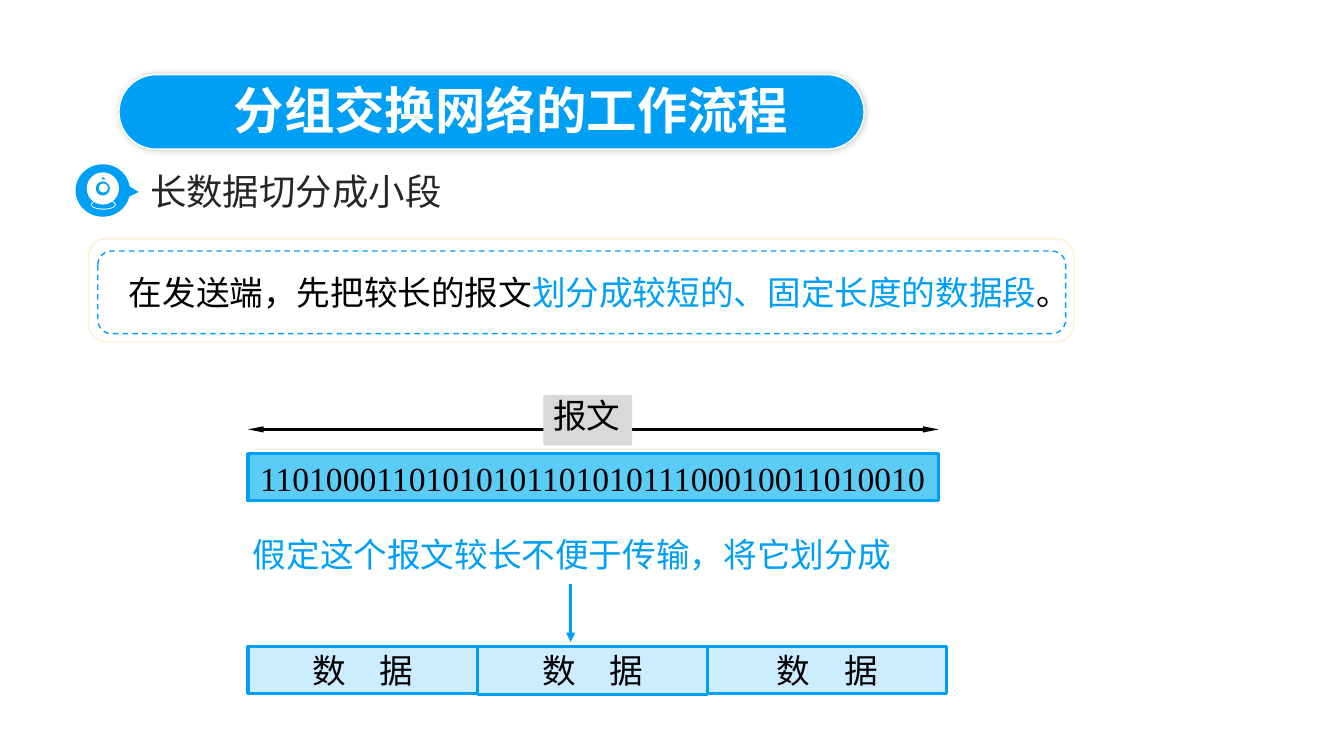
from dataclasses import dataclass

from lxml.etree import SubElement
from pptx import Presentation
from pptx.dml.color import RGBColor
from pptx.enum.dml import MSO_LINE_DASH_STYLE as Dash
from pptx.enum.shapes import MSO_CONNECTOR as Connector, MSO_SHAPE as Preset
from pptx.enum.text import MSO_ANCHOR as Anchor, PP_ALIGN as Align
from pptx.oxml.ns import qn
from pptx.util import Inches, Pt

BLUE = RGBColor(0x00, 0x9F, 0xF6)
SKY = RGBColor(0x5B, 0xCC, 0xF6)
PALE = RGBColor(0xCC, 0xEC, 0xFF)
CREAM = RGBColor(0xFE, 0xF1, 0xD6)
GREY = RGBColor(0xD9, 0xD9, 0xD9)
DARK = RGBColor(0x26, 0x26, 0x26)
BLACK = RGBColor(0x00, 0x00, 0x00)
WHITE = RGBColor(0xFF, 0xFF, 0xFF)

SANS = "Noto Sans CJK SC"
TITLE_FONT = "Noto Sans CJK JP"
SERIF = "Times New Roman"


@dataclass
class Box:
    left: float
    top: float
    width: float
    height: float
    preset: Preset = Preset.RECTANGLE
    fill: RGBColor | None = None
    line: RGBColor | None = None
    weight: float = 1
    dash: Dash | None = None
    adjustments: tuple[float, ...] = ()


@dataclass
class Label:
    """One line of text, made of (text, colour) runs."""
    runs: list[tuple[str, RGBColor]]
    size: float = 24
    font: str = SANS
    bold: bool = False
    align: Align = Align.LEFT
    anchor: Anchor = Anchor.TOP
    spacing: float = 1.0
    left_inset: float = 0.1
    right_inset: float = 0
    top_inset: float = 0


@dataclass
class Arrow:
    start: tuple[float, float]
    end: tuple[float, float]
    colour: RGBColor
    heads: tuple[str, ...]
    head_width: str = "med"
    head_length: str = "med"


def write(shape, label: Label) -> None:
    frame = shape.text_frame
    settings = {
        "word_wrap": True,
        "vertical_anchor": label.anchor,
        "margin_left": Inches(label.left_inset),
        "margin_right": Inches(label.right_inset),
        "margin_top": Inches(label.top_inset),
        "margin_bottom": 0,
    }
    for name, value in settings.items():
        setattr(frame, name, value)
    paragraph = frame.paragraphs[0]
    paragraph.alignment = label.align
    paragraph.line_spacing = label.spacing
    font_settings = {"size": Pt(label.size), "name": label.font, "bold": label.bold}
    for text, colour in label.runs:
        run = paragraph.add_run()
        run.text = text
        for name, value in font_settings.items():
            setattr(run.font, name, value)
        run.font.color.rgb = colour
        SubElement(run.font._element, qn("a:ea"), typeface=label.font)


def add_box(slide, box: Box, label: Label | None = None):
    shape = slide.shapes.add_shape(
        box.preset, Inches(box.left), Inches(box.top), Inches(box.width), Inches(box.height))
    shape.shadow.inherit = False
    for index, value in enumerate(box.adjustments):
        shape.adjustments[index] = value
    for target, colour in ((shape.fill, box.fill), (shape.line.fill, box.line)):
        if colour is None:
            target.background()
        else:
            target.solid()
            target.fore_color.rgb = colour
    if box.line is not None:
        shape.line.width = Pt(box.weight)
        shape.line.dash_style = box.dash
    if label:
        write(shape, label)
    return shape


def add_text(slide, left: float, top: float, width: float, height: float, label: Label) -> None:
    write(slide.shapes.add_textbox(Inches(left), Inches(top), Inches(width), Inches(height)), label)


def add_arrow(slide, arrow: Arrow) -> None:
    points = [Inches(value) for value in (*arrow.start, *arrow.end)]
    connector = slide.shapes.add_connector(Connector.STRAIGHT, *points)
    connector.line.color.rgb = arrow.colour
    connector.line.width = Pt(2.25)
    properties = connector._element.spPr
    line = properties.find(qn("a:ln"))
    for head in arrow.heads:
        SubElement(line, qn(f"a:{head}"), type="triangle", w=arrow.head_width, len=arrow.head_length)
    SubElement(properties, qn("a:effectLst"))


def add_soft_shadow(shape) -> None:
    effects = shape._element.spPr.find(qn("a:effectLst"))
    shadow = SubElement(effects, qn("a:outerShdw"), blurRad=str(Pt(5)), dist="0", dir="0")
    colour = SubElement(shadow, qn("a:srgbClr"), val=str(BLACK))
    SubElement(colour, qn("a:alpha"), val="20000")


def add_title(slide) -> None:
    pill = add_box(slide, Box(1.18, 0.74, 7.39, 0.74, Preset.ROUNDED_RECTANGLE, BLUE, WHITE,
                              adjustments=(0.5,)))
    add_soft_shadow(pill)
    add_text(slide, 2.22, 0.78, 6.36, 0.71,
             Label([("分组交换网络的工作流程", WHITE)], 36, TITLE_FONT, bold=True))


def add_heading(slide) -> None:
    """Webcam badge and the heading beside it."""
    badge = [
        Box(0.75, 1.63, 0.54, 0.52, Preset.OVAL_CALLOUT, BLUE, adjustments=(0.661, 0.028)),
        Box(0.9, 1.98, 0.25, 0.1, Preset.OVAL, WHITE),
        Box(0.91, 1.99, 0.23, 0.08, Preset.OVAL, BLUE),
        Box(0.86, 1.71, 0.32, 0.32, Preset.OVAL, WHITE),
        Box(0.95, 1.8, 0.14, 0.14, Preset.OVAL, BLUE),
        Box(0.98, 1.82, 0.09, 0.09, Preset.OVAL, WHITE),
        Box(1.01, 1.76, 0.03, 0.02, Preset.OVAL, BLUE),
    ]
    for part in badge:
        add_box(slide, part)
    add_text(slide, 1.39, 1.63, 6.54, 0.58,
             Label([("长数据切分成小段", DARK)], 26, spacing=1.1))


def add_statement(slide) -> None:
    add_box(slide, Box(0.88, 2.37, 9.77, 1.02, Preset.ROUNDED_RECTANGLE, WHITE, CREAM))
    add_box(slide, Box(0.97, 2.49, 9.6, 0.82, Preset.ROUNDED_RECTANGLE, line=BLUE, dash=Dash.DASH))
    add_text(slide, 1.18, 2.7, 9.46, 0.42, Label([
        ("在发送端，先把较长的报文", BLACK),
        ("划分成较短的、固定长度的数据段", BLUE),
        ("。", BLACK),
    ]))


def add_message(slide) -> None:
    add_arrow(slide, Arrow((2.46, 4.26), (9.31, 4.26), BLACK, ("headEnd", "tailEnd"), "sm", "lg"))
    add_box(slide, Box(5.39, 3.92, 0.88, 0.5, fill=GREY), Label([("报文", BLACK)]))
    add_box(slide, Box(2.46, 4.5, 6.85, 0.47, fill=SKY, line=BLUE, weight=2.25))
    add_text(slide, 2.44, 4.49, 6.87, 0.51,
             Label([("1101000110101010110101011100010011010010", BLACK)], font=SERIF,
                   align=Align.CENTER, left_inset=0.05, right_inset=0.05, top_inset=0.05))


def add_segments(slide) -> None:
    add_text(slide, 2.12, 5.3, 7.11, 0.4,
             Label([("假定这个报文较长不便于传输，将它划分成", BLUE)],
                   align=Align.CENTER, right_inset=0.1))
    add_arrow(slide, Arrow((5.66, 5.79), (5.66, 6.37), BLUE, ("tailEnd",)))
    data = Label([("数　据", BLACK)], align=Align.CENTER, anchor=Anchor.MIDDLE, right_inset=0.1)
    left = 2.46
    for width, height in ((2.28, 0.47), (2.28, 0.48), (2.37, 0.47)):
        add_box(slide, Box(left, 6.41, width, height, fill=PALE, line=BLUE, weight=2.25), data)
        left += width


def main() -> None:
    presentation = Presentation()
    presentation.slide_width = Inches(13.33)
    presentation.slide_height = Inches(7.5)
    slide = presentation.slides.add_slide(presentation.slide_layouts[6])
    for add_part in (add_title, add_statement, add_message, add_heading, add_segments):
        add_part(slide)
    presentation.save("out.pptx")


if __name__ == "__main__":
    main()
